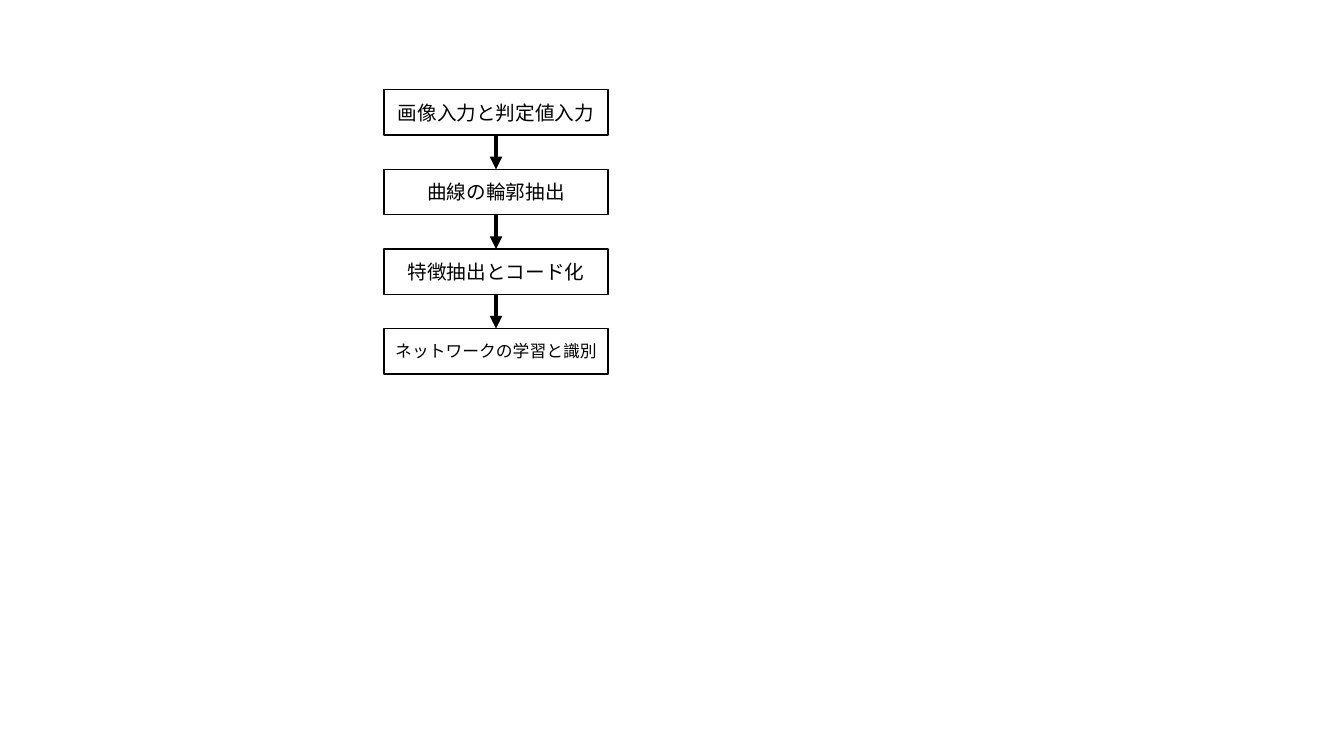
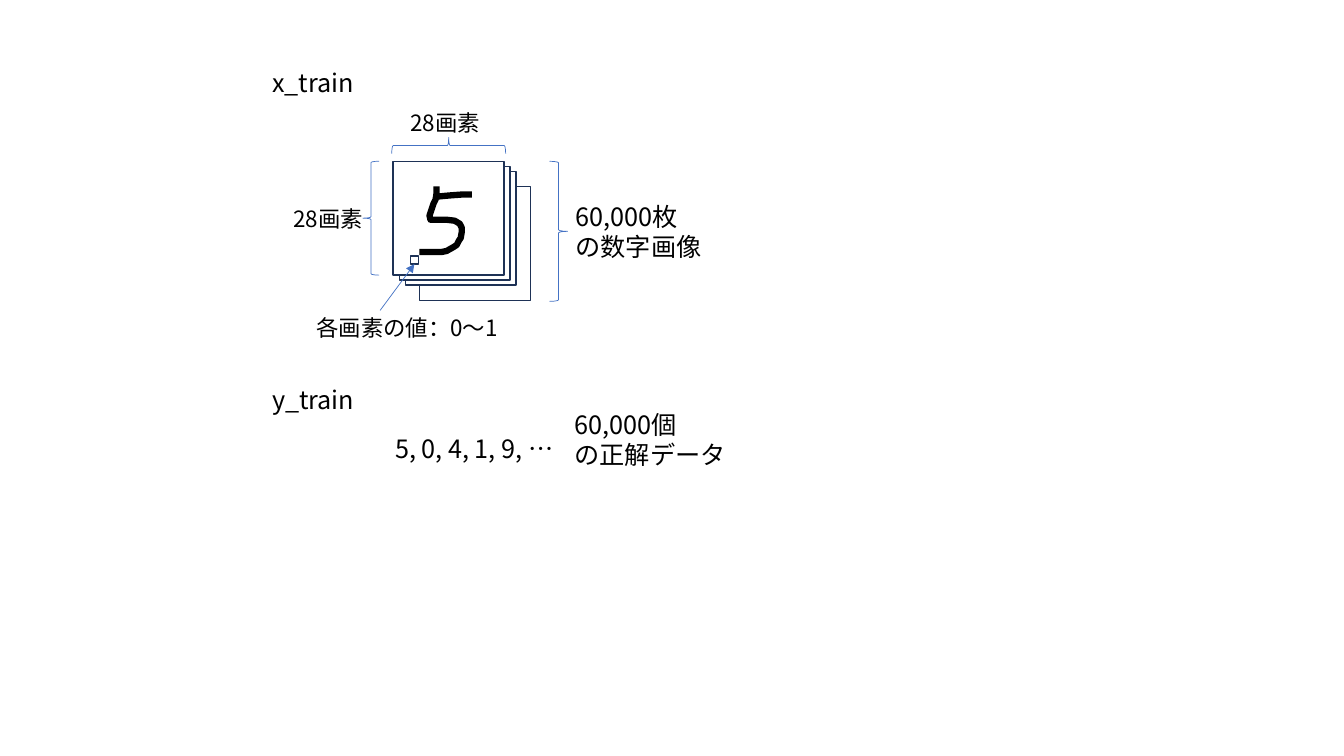
from lxml import etree
from pptx import Presentation
from pptx import util as u
from pptx.dml.color import RGBColor
from pptx.enum import shapes, text
from pptx.oxml.ns import qn

FONT = "Noto Sans CJK JP"
BLACK, WHITE, NAVY, BLUE = "000000", "FFFFFF", "1E3256", "4472C4"
SHAPE = shapes.MSO_SHAPE

STEPS = [("画像入力と判定値入力", 14), ("曲線の輪郭抽出", 14),
         ("特徴抽出とコード化", 14), ("ネットワークの学習と識別", 12)]
STEP_LEFT, STEP_TOP, STEP_W, STEP_H, STEP_PITCH = 3.81, 0.89, 2.22, 0.45, 0.79

CARD_LEFT, CARD_TOP, CARD_W, CARD_H = 3.9, 1.6, 1.1, 1.13
CARD_OFFSETS = [(0.26, 0.25), (0.12, 0.1), (0.06, 0.05), (0, 0)]

FIVE_STROKES = [
    [(4.34, 1.95), (4.45, 1.94), (4.58, 1.93), (4.68, 1.93)],
    [(4.33, 1.85), (4.33, 1.92), (4.32, 1.98), (4.3, 2.02), (4.28, 2.08),
     (4.26, 2.14), (4.27, 2.18), (4.33, 2.18), (4.43, 2.18), (4.51, 2.19),
     (4.56, 2.22), (4.58, 2.26), (4.58, 2.3), (4.57, 2.36), (4.55, 2.39),
     (4.53, 2.43), (4.5, 2.45), (4.43, 2.49), (4.38, 2.5), (4.32, 2.5),
     (4.16, 2.5)],
]

LABELS = [
    ("60,000枚\nの数字画像", 5.61, 1.95, 1.5, 0.71, 18),
    ("x_train", 2.6, 0.62, 1.16, 0.4, 18),
    ("28画素", 3.97, 1.03, 1.21, 0.37, 16),
    ("28画素", 2.81, 1.99, 1.21, 0.37, 16),
    ("各画素の値：0～1", 3.04, 3.07, 2.02, 0.37, 16),
    ("y_train", 2.6, 3.76, 1.16, 0.4, 18),
    ("5, 0, 4, 1, 9, …", 3.82, 4.25, 1.84, 0.4, 18),
    ("60,000個\nの正解データ", 5.6, 4.01, 1.75, 0.71, 18),
]


def rgb(color):
    """Turn a hex string into a colour."""
    return RGBColor.from_string(color)


def set_line(sp, color, width):
    """Set the colour and width of an outline."""
    sp.line.color.rgb = rgb(color)
    sp.line.width = u.Pt(width)


def format_text(tf, size, align=text.PP_ALIGN.LEFT):
    """Give every run the shared font, a size and an alignment."""
    for p in tf.paragraphs:
        p.alignment = align
        for r in p.runs:
            r.font.name = FONT
            r.font.size = u.Pt(size)
            r.font.color.rgb = rgb(BLACK)
            ea = etree.SubElement(r.font._element, qn("a:ea"))
            ea.set("typeface", FONT)


def add_box(parent, kind, left, top, width, height, color, line_width=1, fill=None):
    """Add an outlined preset shape with an optional fill."""
    sp = parent.add_shape(kind, u.Inches(left), u.Inches(top),
                          u.Inches(width), u.Inches(height))
    sp.shadow.inherit = False
    if fill:
        sp.fill.solid()
        sp.fill.fore_color.rgb = rgb(fill)
    else:
        sp.fill.background()
    set_line(sp, color, line_width)
    return sp


def add_arrow(parent, start, end, color, width):
    """Add a straight arrow between two points."""
    points = [u.Inches(v) for v in (*start, *end)]
    cxn = parent.add_connector(shapes.MSO_CONNECTOR.STRAIGHT, *points)
    set_line(cxn, color, width)
    etree.SubElement(cxn.line._get_or_add_ln(), qn("a:tailEnd")).set("type", "triangle")
    etree.SubElement(cxn._element.spPr, qn("a:effectLst"))
    return cxn


def add_label(parent, words, left, top, width, height, size):
    """Add a text box with one paragraph per line."""
    tf = parent.add_textbox(u.Inches(left), u.Inches(top),
                            u.Inches(width), u.Inches(height)).text_frame
    tf.word_wrap = True
    tf.text = words
    format_text(tf, size)


def add_step(parent, words, size, top):
    """Add one process box of the flow chart."""
    sp = add_box(parent, SHAPE.FLOWCHART_PROCESS, STEP_LEFT, top, STEP_W, STEP_H, BLACK)
    tf = sp.text_frame
    tf.text = words
    tf.vertical_anchor = text.MSO_ANCHOR.MIDDLE
    format_text(tf, size, text.PP_ALIGN.CENTER)
    return sp


def add_stroke(parent, points):
    """Add one thick pen stroke through the given points."""
    start, *rest = [(u.Inches(x), u.Inches(y)) for x, y in points]
    builder = parent.build_freeform(*start)
    builder.add_line_segments(rest, close=False)
    sp = builder.convert_to_shape()
    sp.shadow.inherit = False
    sp.fill.background()
    set_line(sp, BLACK, 4.5)


def build_flow(slide):
    """Build the flow chart of processing steps."""
    flow = slide.shapes.add_group_shape().shapes
    tops = [STEP_TOP + i * STEP_PITCH for i in range(len(STEPS))]
    boxes = [add_step(flow, words, size, top)
             for (words, size), top in zip(STEPS, tops)]
    middle = STEP_LEFT + STEP_W / 2
    for i, top in enumerate(tops[1:]):
        cxn = add_arrow(flow, (middle, tops[i] + STEP_H), (middle, top), BLACK, 3)
        cxn.begin_connect(boxes[i], 2)
        cxn.end_connect(boxes[i + 1], 0)


def build_training_data(slide):
    """Build the diagram of training images and answers."""
    sps = slide.shapes
    for dx, dy in CARD_OFFSETS:
        add_box(sps, SHAPE.RECTANGLE, CARD_LEFT + dx, CARD_TOP + dy,
                CARD_W, CARD_H, NAVY, fill=WHITE)
    for points in FIVE_STROKES:
        add_stroke(sps, points)
    add_box(sps, SHAPE.RIGHT_BRACE, 5.45, CARD_TOP, 0.18, 1.39, BLUE, 0.5)
    add_box(sps, SHAPE.LEFT_BRACE, 3.6, CARD_TOP, 0.16, CARD_H, BLUE, 0.5)
    add_box(sps, SHAPE.LEFT_BRACE, 4.37, 0.88, 0.16, CARD_H, BLUE, 0.5).rotation = 90
    pixel = add_box(sps, SHAPE.RECTANGLE, 4.07, 2.54, 0.08, 0.08, NAVY, fill=WHITE)
    add_arrow(sps, (3.77, 3.08), (4.11, 2.62), BLUE, 0.5).end_connect(pixel, 2)
    for label in LABELS:
        add_label(sps, *label)


def main():
    """Build and save the presentation."""
    prs = Presentation()
    prs.slide_width, prs.slide_height = u.Inches(13.33), u.Inches(7.5)
    for build in (build_flow, build_training_data):
        build(prs.slides.add_slide(prs.slide_layouts[6]))
    prs.save("out.pptx")


if __name__ == "__main__":
    main()
